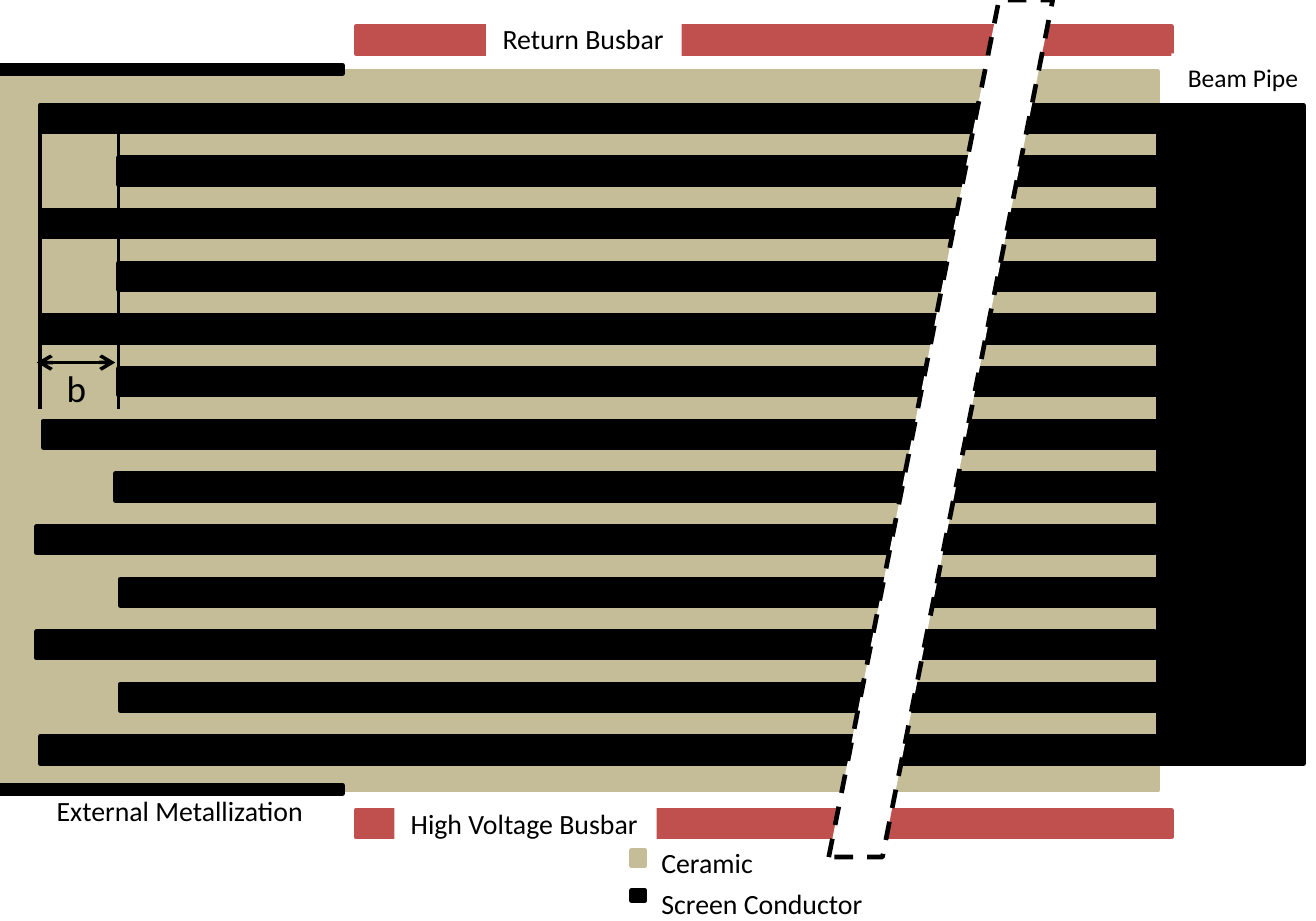
from pptx import Presentation
from pptx.dml.color import RGBColor
from pptx.enum.dml import MSO_LINE_DASH_STYLE as DashStyle
from pptx.enum.shapes import MSO_CONNECTOR as Connector, MSO_SHAPE as ShapeType
from pptx.enum.text import MSO_AUTO_SIZE as AutoSize
from pptx.oxml.ns import qn
from pptx.util import Emu, Inches, Pt
from lxml.etree import SubElement

SLIDE_WIDTH, SLIDE_HEIGHT = Emu(7200900), Emu(5040313)

BLACK = RGBColor(0x00, 0x00, 0x00)
WHITE = RGBColor(0xFF, 0xFF, 0xFF)
CERAMIC = RGBColor(0xC4, 0xBD, 0x97)
BUSBAR = RGBColor(0xC0, 0x50, 0x4D)

BAR_HEIGHT = 0.16
STRIP_LEFTS = [0.24, 0.71, 0.24, 0.71, 0.24, 0.71, 0.26,
               0.69, 0.22, 0.72, 0.22, 0.72, 0.24]
STRIP_WIDTHS = [6.69, 6.22]  # long and short strips alternate
FIRST_STRIP_TOP, LAST_STRIP_TOP = 0.63, 4.41


def add_block(slide, left, top, width, height, fill, line=None,
              kind=ShapeType.RECTANGLE):
    """Add a filled shape, outlined in its own colour unless line is given."""
    shape = slide.shapes.add_shape(
        kind, Inches(left), Inches(top), Inches(width), Inches(height))
    shape.shadow.inherit = False
    shape.fill.solid()
    shape.fill.fore_color.rgb = fill
    shape.line.color.rgb = fill if line is None else line
    shape.line.width = Pt(2)
    return shape


def add_label(slide, text, left, top, width, height=0.3, size=12, fill=None):
    box = slide.shapes.add_textbox(
        Inches(left), Inches(top), Inches(width), Inches(height))
    if fill is not None:
        box.fill.solid()
        box.fill.fore_color.rgb = fill
    frame = box.text_frame
    frame.word_wrap = False
    frame.auto_size = AutoSize.SHAPE_TO_FIT_TEXT
    paragraph = frame.paragraphs[0]
    paragraph.text = text
    paragraph.font.name = "Calibri"
    paragraph.font.size = Pt(size)
    paragraph.font.color.rgb = BLACK


def add_line(slide, start_x, start_y, end_x, end_y, arrows=False):
    connector = slide.shapes.add_connector(
        Connector.STRAIGHT, Inches(start_x), Inches(start_y),
        Inches(end_x), Inches(end_y))
    connector.line.color.rgb = BLACK
    connector.line.width = Pt(1.5)
    properties = connector.element.spPr
    if arrows:
        outline = properties.find(qn("a:ln"))
        for end in ("a:headEnd", "a:tailEnd"):
            SubElement(outline, qn(end), type="arrow")
    SubElement(properties, qn("a:effectLst"))


def add_screen_strips(slide):
    pitch = (LAST_STRIP_TOP - FIRST_STRIP_TOP) / (len(STRIP_LEFTS) - 1)
    for row, left in enumerate(STRIP_LEFTS):
        add_block(slide, left, FIRST_STRIP_TOP + row * pitch,
                  STRIP_WIDTHS[row % 2], BAR_HEIGHT, BLACK)


def add_offset_dimension(slide):
    """Mark the distance b between the ends of long and short strips."""
    add_line(slide, 0.24, 0.71, 0.24, 2.45)
    add_line(slide, 0.71, 0.63, 0.71, 2.45)
    add_line(slide, 0.22, 2.17, 0.69, 2.17, arrows=True)
    add_label(slide, "b", 0.3, 2.14, 0.32, 0.37, size=16)


def add_break(slide):
    gap = add_block(slide, 4.96, 0, 1.34, 5.13, WHITE, BLACK,
                    ShapeType.PARALLELOGRAM)
    gap.adjustments[0] = 0.76
    gap.line.dash_style = DashStyle.DASH


def main():
    presentation = Presentation()
    presentation.slide_width = SLIDE_WIDTH
    presentation.slide_height = SLIDE_HEIGHT
    slide = presentation.slides.add_slide(presentation.slide_layouts[6])

    add_block(slide, 0, 0.43, 6.93, 4.3, CERAMIC)
    for busbar_top in (0.16, 4.85):
        add_block(slide, 2.13, busbar_top, 4.88, BAR_HEIGHT, BUSBAR)
    for metallization_top in (0.39, 4.7):
        add_block(slide, 0, metallization_top, 2.05, 0.05, BLACK)
    add_block(slide, 6.93, 0.63, 0.87, 3.94, BLACK)
    add_screen_strips(slide)
    add_offset_dimension(slide)

    add_label(slide, "Return Busbar", 2.91, 0.08, 1.17, fill=WHITE)
    add_label(slide, "High Voltage Busbar", 2.36, 4.78, 1.57, fill=WHITE)
    add_label(slide, "Beam Pipe", 7.01, 0.32, 0.87, 0.29, size=11, fill=WHITE)
    add_label(slide, "External Metallization", 0.24, 4.7, 1.69)

    add_block(slide, 3.78, 5.09, 0.08, 0.09, CERAMIC)
    add_label(slide, "Ceramic", 3.86, 5.01, 0.76)
    add_block(slide, 3.78, 5.33, 0.08, 0.06, BLACK)
    add_label(slide, "Screen Conductor", 3.86, 5.26, 1.42)
    add_break(slide)

    presentation.save("out.pptx")


if __name__ == "__main__":
    main()
